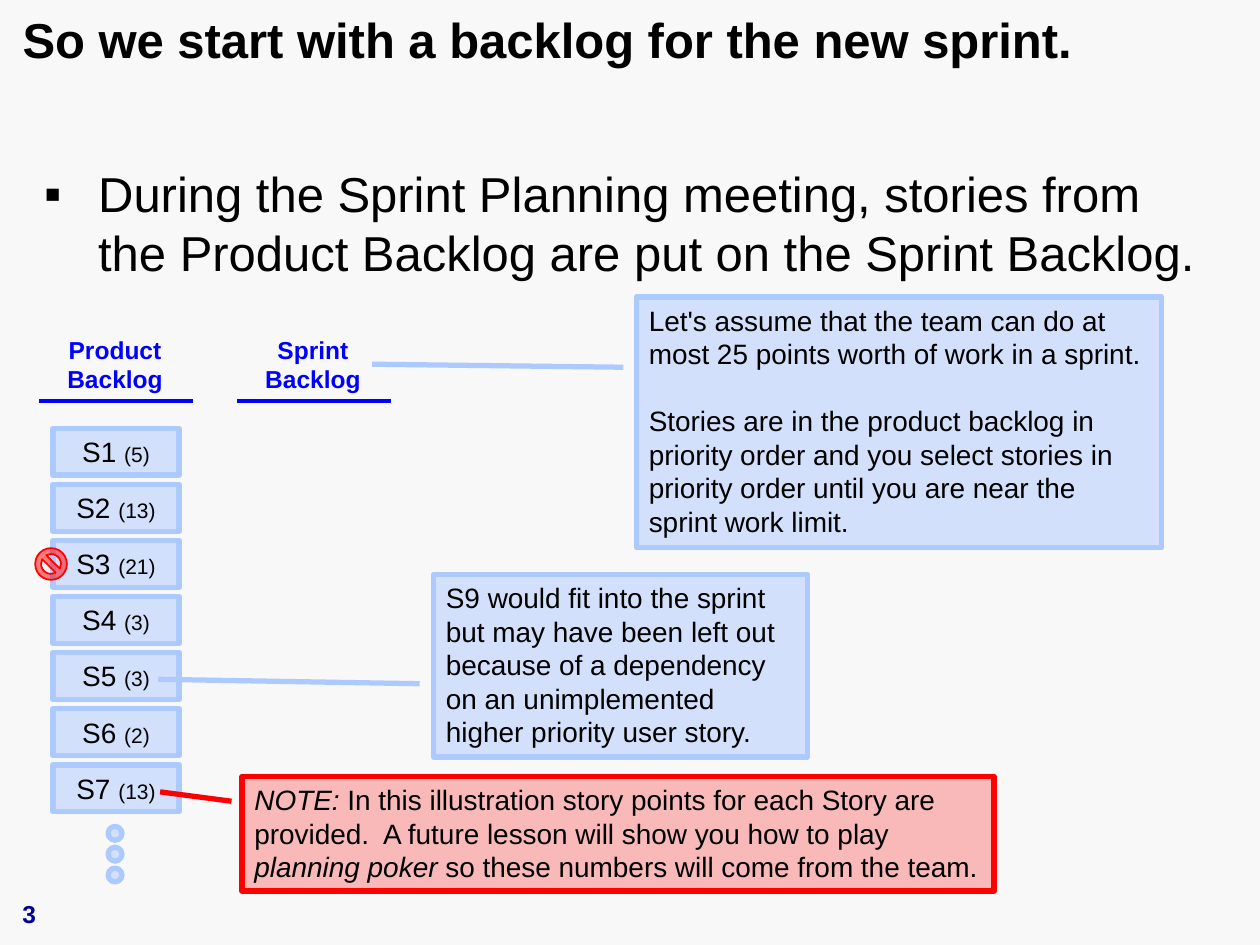
from lxml import etree
from pptx import Presentation
from pptx.dml.color import RGBColor
from pptx.enum import shapes, text
from pptx.oxml.ns import qn
from pptx.util import Cm, Pt

COLORS = {
    "background": "F8F8F8", "black": "000000", "blue": "0000FF",
    "navy": "000099", "light": "ADCAFF", "red": "FF0000",
}
KIND = shapes.MSO_SHAPE


def color(name):
    return RGBColor.from_string(COLORS[name])


class SlideBuilder:
    font = "Arial"

    def __init__(self, slide):
        self.slide = slide

    def add_runs(self, paragraph, runs, size, ink="black", bold=False):
        """Each run is (text, options); options may hold size and italic."""
        for content, options in runs:
            run = paragraph.add_run()
            run.text = content
            run.font.name = self.font
            run.font.size = Pt(options.get("size", size))
            run.font.bold = bold
            run.font.italic = options.get("italic", False)
            run.font.color.rgb = color(ink)

    def frame(self, shape, anchor=text.MSO_ANCHOR.TOP, wrap=True):
        frame = shape.text_frame
        frame.word_wrap = wrap
        frame.auto_size = text.MSO_AUTO_SIZE.NONE
        frame.vertical_anchor = anchor
        return frame

    def title(self, content, left, top, width, height):
        title = self.slide.shapes.title
        title.left, title.top = Cm(left), Cm(top)
        title.width, title.height = Cm(width), Cm(height)
        paragraph = self.frame(title).paragraphs[0]
        paragraph.alignment = text.PP_ALIGN.LEFT
        paragraph.line_spacing = 0.89
        self.add_runs(paragraph, [(content, {})], 28, bold=True)

    def bullet(self, content, left, top, width, height):
        box = self.slide.shapes.add_textbox(Cm(left), Cm(top), Cm(width), Cm(height))
        paragraph = self.frame(box).paragraphs[0]
        properties = paragraph._p.get_or_add_pPr()
        properties.set("marL", str(Cm(1.09)))
        properties.set("indent", str(-Cm(1.09)))
        etree.SubElement(properties, qn("a:buFont"), typeface=self.font)
        etree.SubElement(properties, qn("a:buChar"), char="▪")
        self.add_runs(paragraph, [(content, {})], 28)

    def page_number(self, number, left, top, width, height):
        box = self.slide.shapes.add_textbox(Cm(left), Cm(top), Cm(width), Cm(height))
        paragraph = self.frame(box, text.MSO_ANCHOR.BOTTOM).paragraphs[0]
        self.add_runs(paragraph, [(number, {})], 14, "navy", bold=True)

    def shape(self, kind, left, top, width, height, hue="light", alpha=50, line=3):
        shape = self.slide.shapes.add_shape(kind, Cm(left), Cm(top), Cm(width), Cm(height))
        shape.shadow.inherit = False
        shape.fill.solid()
        shape.fill.fore_color.rgb = color(hue)
        fill = shape.fill._xPr.find(qn("a:solidFill"))
        etree.SubElement(fill[0], qn("a:alpha"), val=str(alpha * 1000))
        shape.line.color.rgb = color(hue)
        shape.line.width = Pt(line)
        return shape

    def story(self, name, points, left, top):
        card = self.shape(KIND.RECTANGLE, left, top, 2.54, 0.94)
        paragraph = self.frame(card).paragraphs[0]
        paragraph.alignment = text.PP_ALIGN.CENTER
        self.add_runs(paragraph, [(f"{name} ", {}), (f"({points})", {"size": 12})], 16)

    def callout(self, paragraphs, place, pointer, **style):
        callout = self.shape(KIND.LINE_CALLOUT_1, *place, **style)
        for index, value in enumerate(pointer):
            callout.adjustments[index] = value
        frame = self.frame(callout)
        for index, runs in enumerate(paragraphs):
            paragraph = frame.add_paragraph() if index else frame.paragraphs[0]
            paragraph.alignment = text.PP_ALIGN.LEFT
            if index:
                paragraph.space_before = Pt(19)
            self.add_runs(paragraph, runs, 16)

    def heading(self, words, left):
        """Two-line column heading with a rule below, grouped."""
        group = self.slide.shapes.add_group_shape()
        box = group.shapes.add_textbox(Cm(left + 0.3), Cm(6.5), Cm(2.46), Cm(1.7))
        frame = self.frame(box, wrap=False)
        frame.margin_left = frame.margin_right = Cm(0.25)
        frame.margin_top = frame.margin_bottom = Cm(0.25)
        paragraph = frame.paragraphs[0]
        paragraph.alignment = text.PP_ALIGN.CENTER
        for index, word in enumerate(words):
            if index:
                paragraph.add_line_break()
            self.add_runs(paragraph, [(word, {})], 14, "blue", bold=True)
        rule = group.shapes.add_connector(
            shapes.MSO_CONNECTOR.STRAIGHT, Cm(left), Cm(8.08), Cm(left + 3.1), Cm(8.08))
        rule.line.color.rgb = color("blue")
        rule.line.width = Pt(2.25)
        etree.SubElement(rule._element.spPr, qn("a:effectLst"))


def main():
    presentation = Presentation()
    presentation.slide_width, presentation.slide_height = Cm(25.4), Cm(19.05)
    slide = presentation.slides.add_slide(presentation.slide_layouts[5])
    slide.background.fill.solid()
    slide.background.fill.fore_color.rgb = color("background")
    builder = SlideBuilder(slide)

    # Title, page number and main statement
    builder.title("So we start with a backlog for the new sprint.", 0.2, 0.2, 24.94, 1.32)
    builder.page_number("3", 0.2, 17.83, 5.92, 1.02)
    builder.bullet("During the Sprint Planning meeting, stories from the Product Backlog "
                   "are put on the Sprint Backlog.", 0.64, 3.18, 24.13, 2.64)

    # Backlog columns
    for column, name in enumerate(("Product", "Sprint")):
        builder.heading((name, "Backlog"), 0.79 + 3.99 * column)

    # Stories with their points
    for row, points in enumerate((5, 13, 21, 3, 3, 2, 13)):
        builder.story(f"S{row + 1}", points, 1.07, 8.64 + 1.13 * row)

    # Blocked story marker and continuation dots
    builder.shape(KIND.NO_SYMBOL, 0.71, 11.05, 0.64, 0.64, hue="red", line=1)
    for dot in range(3):
        builder.shape(KIND.OVAL, 2.18, 16.66 + 0.42 * dot, 0.28, 0.28)

    # Callouts
    builder.callout(
        [[("Let's assume that the team can do at most 25 points worth of work "
           "in a sprint.", {})],
         [("Stories are in the product backlog in priority order and you select "
           "stories in priority order until you are near the sprint work limit.", {})]],
        (12.83, 5.99, 10.59, 5.05), (0.28, -0.025, 0.268, -0.503))
    builder.callout(
        [[("NOTE:", {"italic": True}),
          (" In this illustration story points for each Story are provided.  "
           "A future lesson will show you how to play ", {}),
          ("planning poker ", {"italic": True}),
          ("so these numbers will come from the team.", {})]],
        (4.88, 15.65, 15.16, 2.31), (0.218, -0.014, 0.136, -0.109), hue="red", alpha=25)
    builder.callout(
        [[("S9 would fit into the sprint but may have been left out because of a "
           "dependency on an unimplemented higher priority user story.", {})]],
        (8.74, 11.58, 7.54, 3.68), (0.599, -0.037, 0.575, -0.736))

    presentation.save("out.pptx")


if __name__ == "__main__":
    main()
